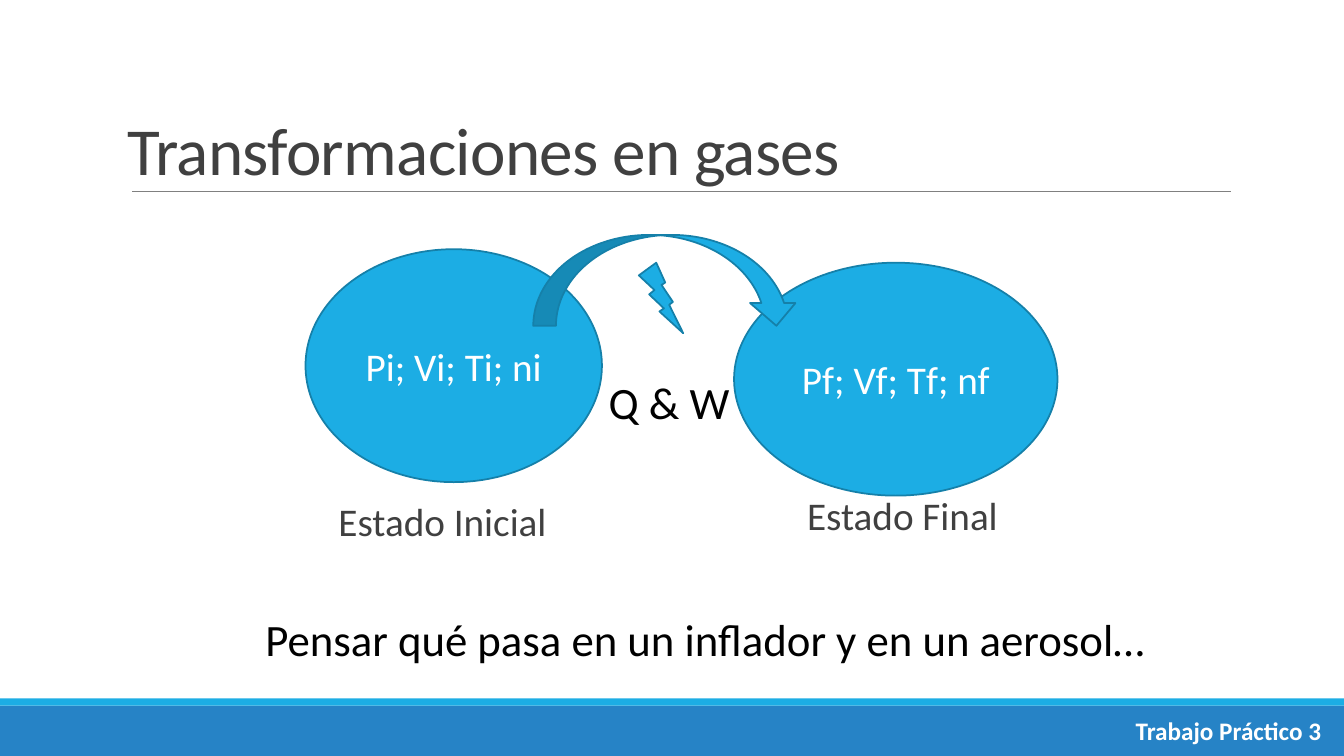
"""Build the slide on gas transformations between an initial and a final state."""
from lxml.etree import SubElement
from pptx import Presentation
from pptx.dml.color import RGBColor
from pptx.enum.shapes import MSO_CONNECTOR, MSO_SHAPE
from pptx.enum.text import MSO_ANCHOR, PP_ALIGN
from pptx.oxml.ns import qn
from pptx.util import Cm, Pt


def rgb(color):
    return RGBColor.from_string(color)


def write(sp, text, size, color, frame={}, para={}, bold=False):
    tf = sp.text_frame
    for name, value in ({"word_wrap": True} | frame).items():
        setattr(tf, name, value)
    p = tf.paragraphs[0]
    for name, value in para.items():
        setattr(p, name, value)
    r = p.add_run()
    r.text = text
    font = {"name": "Calibri", "size": Pt(size), "bold": bold}
    for name, value in font.items():
        setattr(r.font, name, value)
    r.font.color.rgb = rgb(color)
    return r


prs = Presentation()
prs.slide_width, prs.slide_height = Cm(33.87), Cm(19.05)
s = prs.slides.add_slide(prs.slide_layouts[6])

BLUE, EDGE, GREY = "1CADE4", "1580A9", "404040"
center = {"alignment": PP_ALIGN.CENTER}

for top, height, color in [(17.78, 1.27, "2683C6"), (17.6, 0.18, BLUE)]:
    sp = s.shapes.add_shape(MSO_SHAPE.RECTANGLE, 0, Cm(top), prs.slide_width, Cm(height))
    sp.shadow.inherit = False
    sp.fill.solid()
    sp.fill.fore_color.rgb = rgb(color)
    sp.line.fill.background()

rule = s.shapes.add_connector(MSO_CONNECTOR.STRAIGHT, Cm(3.33), Cm(4.82), Cm(31.01), Cm(4.82))
rule.line.color.rgb = rgb("808080")
rule.line.width = Pt(0.5)
SubElement(rule._element.spPr, qn("a:effectLst"))

shapes = [
    (MSO_SHAPE.OVAL, 7.7, 6.28, 7.47, 5.87, "Pi; Vi; Ti; ni"),
    (MSO_SHAPE.OVAL, 18.5, 6.62, 8.15, 5.87, "Pf; Vf; Tf; nf"),
    (MSO_SHAPE.CURVED_DOWN_ARROW, 13.44, 5.92, 6.7, 2.29, ""),
    (MSO_SHAPE.LIGHTNING_BOLT, 16.1, 6.62, 1.12, 1.78, ""),
]
for kind, left, top, width, height, text in shapes:
    sp = s.shapes.add_shape(kind, Cm(left), Cm(top), Cm(width), Cm(height))
    sp.shadow.inherit = False
    sp.fill.solid()
    sp.fill.fore_color.rgb = rgb(BLUE)
    sp.line.color.rgb = rgb(EDGE)
    sp.line.width = Pt(1.25)
    if text:
        write(sp, text, 28, "FFFFFF", {"vertical_anchor": MSO_ANCHOR.MIDDLE}, center)

for left, top, text in [(8.28, 12.55, "Estado Inicial"), (20.09, 12.4, "Estado Final")]:
    sp = s.shapes.add_textbox(Cm(left), Cm(top), Cm(10.24), Cm(1.78))
    write(sp, text, 28, GREY, {"margin_left": Cm(0.25), "margin_right": 0},
          {"line_spacing": 0.9, "space_after": Pt(2)})

sp = s.shapes.add_textbox(Cm(2.97), Cm(0.86), Cm(20.96), Cm(4.04))
r = write(sp, "Transformaciones en gases", 48, GREY,
          {"vertical_anchor": MSO_ANCHOR.BOTTOM}, {"line_spacing": 0.85})
r.font._element.set("spc", "-50")

notes = [
    (15.09, 9.32, 3.78, 1.63, "Q & W", 32, "000000", {}, {}, False),
    (5.23, 15.29, 25.1, 1.63, "Pensar qué pasa en un inflador y en un aerosol…", 32, "000000",
     {}, center, False),
    (28.37, 17.91, 5.23, 1.02, "Trabajo Práctico 3", 18, "FFFFFF", {"word_wrap": False}, {}, True),
]
for left, top, width, height, *content in notes:
    sp = s.shapes.add_textbox(Cm(left), Cm(top), Cm(width), Cm(height))
    write(sp, *content)

prs.save("out.pptx")
